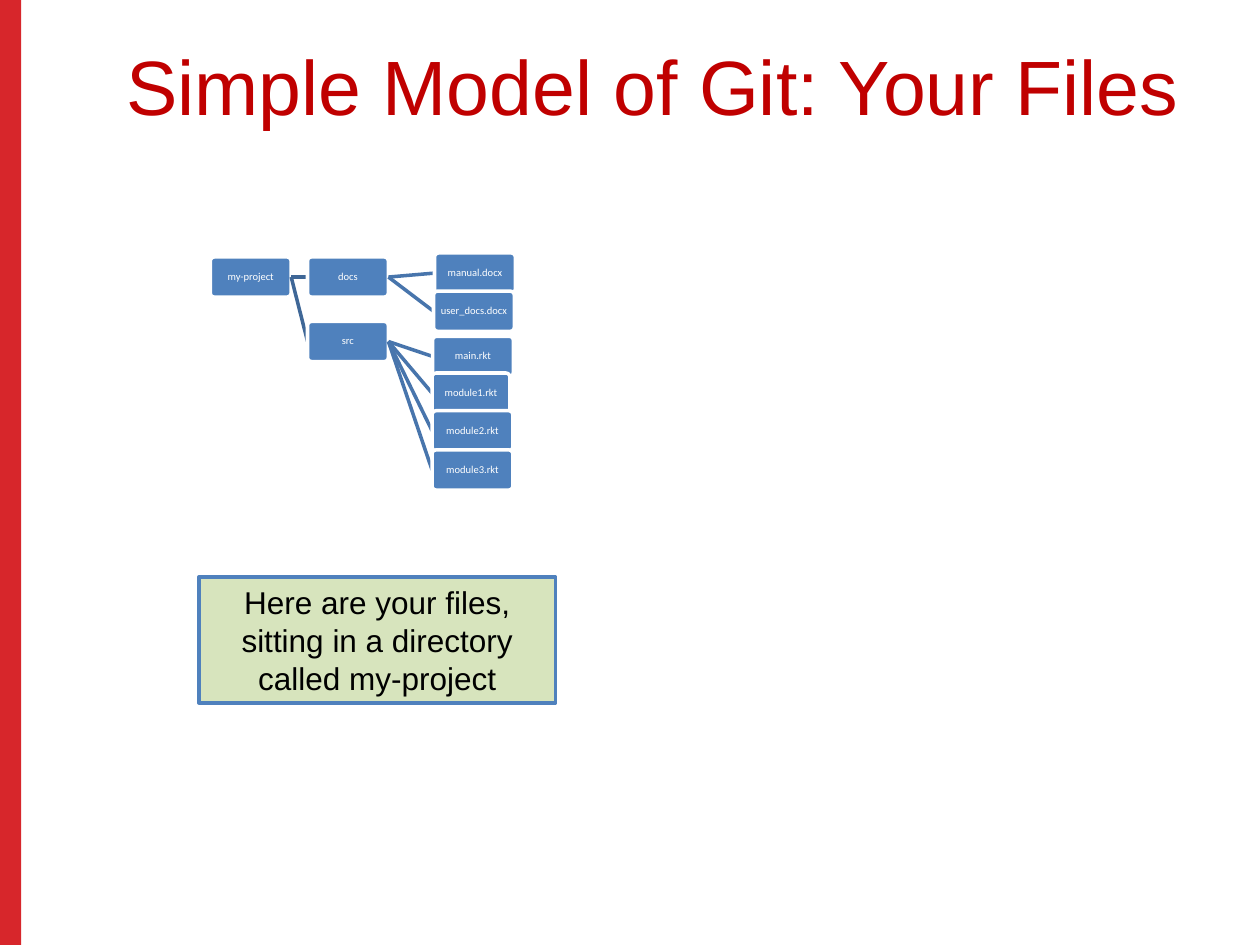
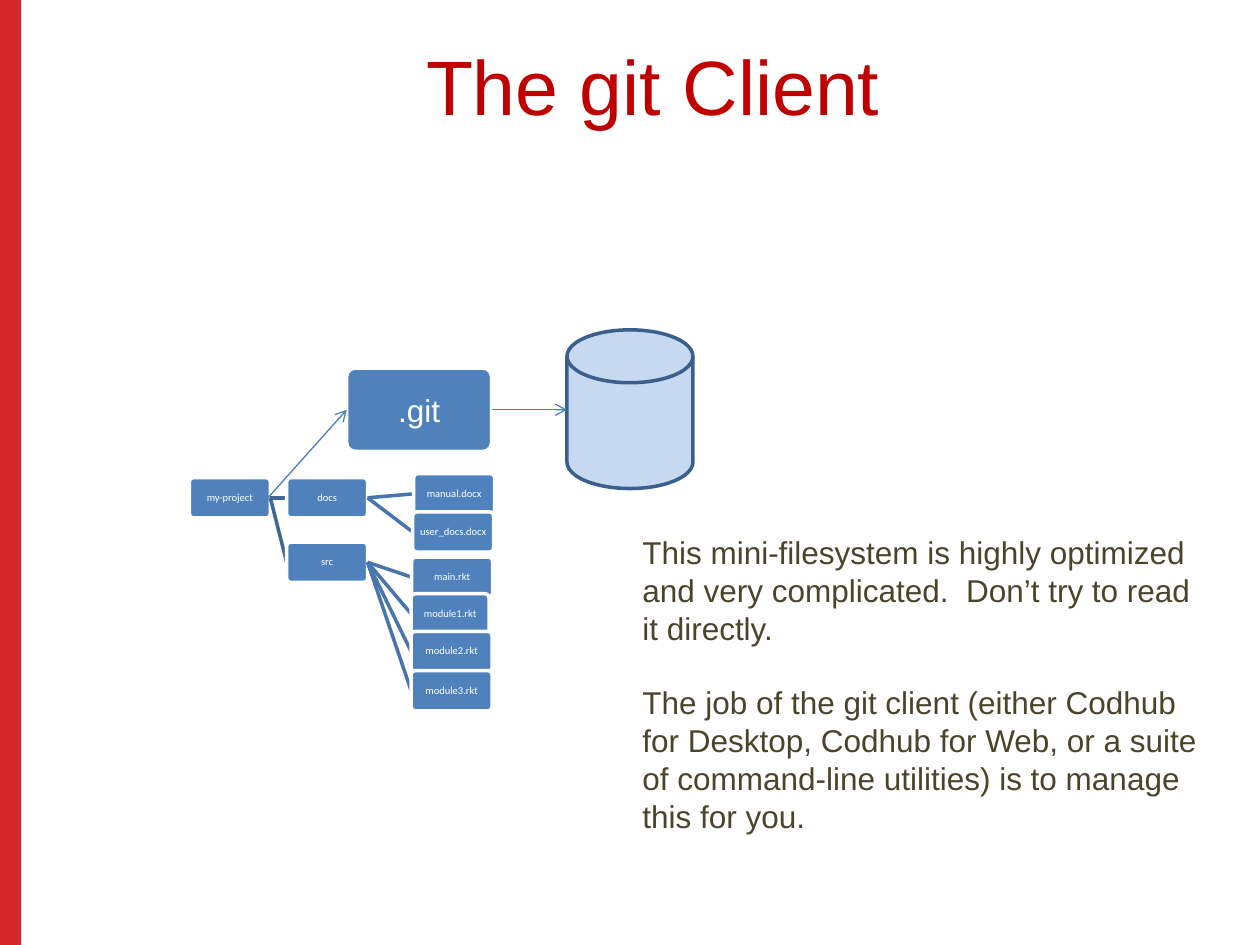
from lxml import etree
from pptx import Presentation
from pptx import util as u
from pptx.dml.color import RGBColor
from pptx.enum import shapes, text
from pptx.oxml.ns import qn

COLOURS = {
    "band": "D10006", "title": "C00000", "node": "4F81BD", "white": "FFFFFF",
    "trunk": "3F6797", "branch": "4875AC", "arrow": "4B7EBC",
    "caption": "D7E4BD", "black": "000000",
    "disk": "C6D9F1", "disk_edge": "3A5F8C", "note": "4A452A",
}
SLIDE_WIDTH, SLIDE_HEIGHT = 25.4, 19.05
NODE_WIDTH, NODE_HEIGHT = 1.63, 0.81
# name, parent, left, top, width: offsets in cm from the root node
FILE_TREE = [
    ("my-project", None, 0, 0, NODE_WIDTH),
    ("docs", "my-project", 1.96, 0, NODE_WIDTH),
    ("manual.docx", "docs", 4.52, -0.08, NODE_WIDTH),
    ("user_docs.docx", "docs", 4.5, 0.69, NODE_WIDTH),
    ("src", "my-project", 1.96, 1.3, NODE_WIDTH),
    ("main.rkt", "src", 4.48, 1.6, NODE_WIDTH),
    ("module1.rkt", "src", 4.47, 2.34, 1.57),
    ("module2.rkt", "src", 4.47, 3.1, NODE_WIDTH),
    ("module3.rkt", "src", 4.47, 3.89, NODE_WIDTH),
]


def colour(name):
    return RGBColor.from_string(COLOURS[name])


def cm(*lengths):
    return [u.Cm(length) for length in lengths]


def write(box, words, size, colour_name, align=text.PP_ALIGN.CENTER, font="Arial"):
    """Fill a box with wrapped text, one paragraph a line."""
    frame = box.text_frame
    frame.text = words
    frame.word_wrap = True
    for para in frame.paragraphs:
        para.alignment = align
        for span in para.runs:
            span.font.size = u.Pt(size)
            span.font.name = font
            span.font.color.rgb = colour(colour_name)
    return frame


def add_box(page, kind, place, fill, line=None):
    box = page.shapes.add_shape(kind, *cm(*place))
    box.shadow.inherit = False
    box.fill.solid()
    box.fill.fore_color.rgb = colour(fill)
    if line:
        box.line.color.rgb = colour(line)
        box.line.width = u.Pt(2)
    else:
        box.line.fill.background()
    return box


def add_node(page, place, words, size, font="Arial"):
    node = add_box(page, shapes.MSO_SHAPE.ROUNDED_RECTANGLE, place, "node", "white")
    node.adjustments[0] = 0.1
    frame = write(node, words, size, "white", font=font)
    frame.vertical_anchor = text.MSO_ANCHOR.MIDDLE
    return frame


def add_line(page, start, end, colour_name, width, arrow=False):
    line = page.shapes.add_connector(
        shapes.MSO_CONNECTOR.STRAIGHT, *cm(*start, *end))
    line.line.color.rgb = colour(colour_name)
    line.line.width = u.Pt(width)
    if arrow:
        etree.SubElement(line.line._get_or_add_ln(), qn("a:tailEnd"), type="arrow")
    etree.SubElement(line._element.spPr, qn("a:effectLst"))


def add_page(deck, title):
    """Blank page with the red side band and a title."""
    page = deck.slides.add_slide(deck.slide_layouts[6])
    band = add_box(page, shapes.MSO_SHAPE.RECTANGLE,
                   (-0.05, 0, 0.48, SLIDE_HEIGHT), "band")
    fill = band._element.spPr.find(qn("a:solidFill"))
    etree.SubElement(fill[0], qn("a:alpha"), val="85000")
    box = page.shapes.add_textbox(*cm(1.9, 0.43, 22.53, 2.54))
    write(box, title, 44, "title").vertical_anchor = text.MSO_ANCHOR.MIDDLE
    return page


def add_file_tree(page, left, top):
    joints = {}
    for name, parent, across, down, width in FILE_TREE:
        x, y = left + across, top + down
        middle = y + NODE_HEIGHT / 2
        if parent:
            tint = "trunk" if parent == FILE_TREE[0][0] else "branch"
            add_line(page, joints[parent], (x, middle), tint, 2)
        frame = add_node(page, (x, y, width, NODE_HEIGHT), name, 6, "Calibri")
        frame.margin_left = frame.margin_right = 0
        frame.margin_top = frame.margin_bottom = 0
        frame.paragraphs[0].line_spacing = 0.9
        joints[name] = (x + width, middle)


def add_repository(page, left, top):
    """The .git node, its disk, and the arrows leading to each."""
    width, height, disk_left = 2.92, 1.68, 4.44
    middle = top + height / 2
    add_node(page, (left, top, width, height), ".git", 18)
    add_box(page, shapes.MSO_SHAPE.FLOWCHART_MAGNETIC_DISK,
            (left + disk_left, top - 0.77, 2.54, 3.2), "disk", "disk_edge")
    add_line(page, (left + width, middle), (left + disk_left, middle),
             "arrow", 0.75, arrow=True)
    add_line(page, (left - 1.7, middle + 1.9), (left, middle),
             "arrow", 0.75, arrow=True)


def build_files_page(deck):
    page = add_page(deck, "Simple Model of Git: Your Files")
    add_file_tree(page, 4.24, 5.18)
    caption = add_box(page, shapes.MSO_SHAPE.RECTANGLE,
                      (4.01, 11.63, 7.19, 2.54), "caption", "node")
    frame = write(caption, "Here are your files, sitting in a directory "
                  "called my-project", 18, "black")
    frame.vertical_anchor = text.MSO_ANCHOR.MIDDLE


def build_client_page(deck):
    page = add_page(deck, "The git Client")
    add_file_tree(page, 3.82, 9.63)
    add_repository(page, 6.99, 7.42)
    note = page.shapes.add_textbox(*cm(12.7, 10.62, 11.91, 6.4))
    frame = write(
        note,
        "This mini-filesystem is highly optimized and very complicated.  "
        "Don’t try to read it directly.\n"
        "The job of the git client (either Codhub for Desktop, Codhub for Web, "
        "or a suite of command-line utilities) is to manage this for you.",
        18, "note", text.PP_ALIGN.LEFT)
    frame.paragraphs[1].space_before = u.Pt(21)


def main():
    deck = Presentation()
    deck.slide_width, deck.slide_height = cm(SLIDE_WIDTH, SLIDE_HEIGHT)
    build_files_page(deck)
    build_client_page(deck)
    deck.save("out.pptx")


if __name__ == "__main__":
    main()
